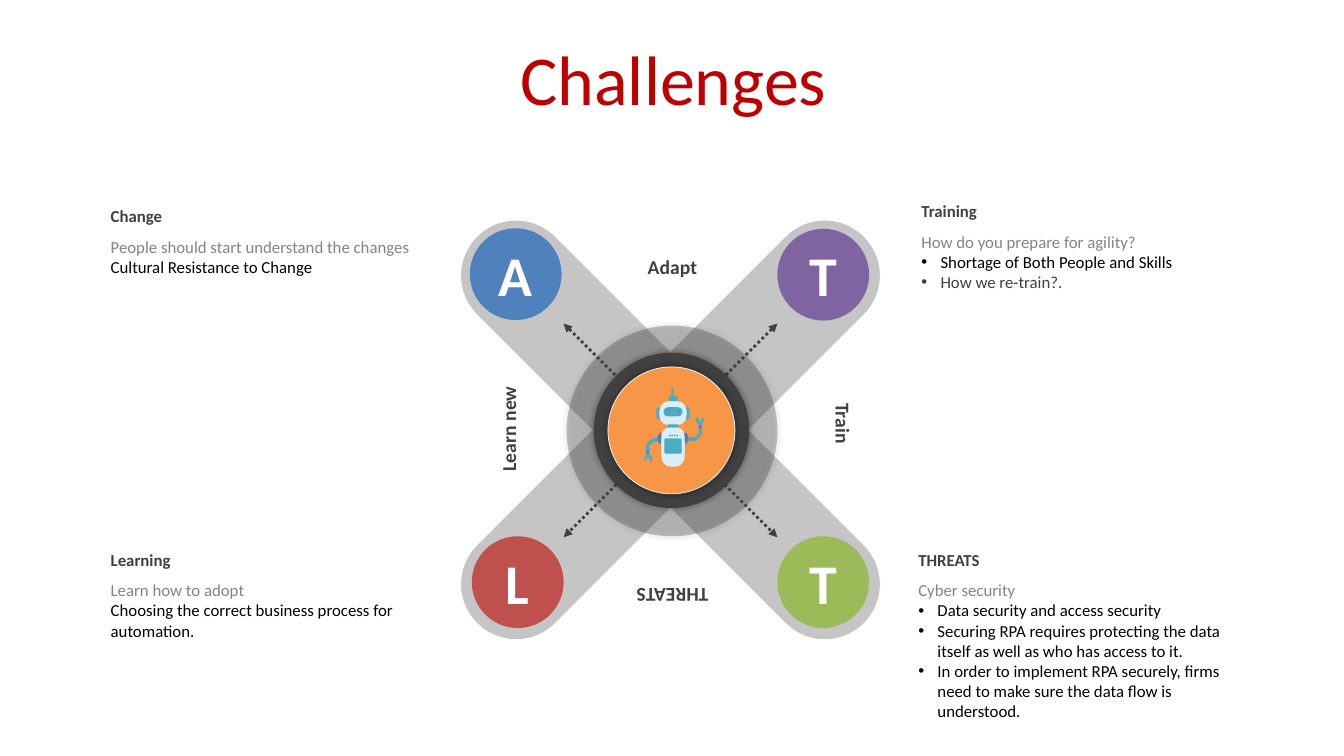
from pptx import Presentation
from pptx.dml.color import RGBColor as Rgb
from pptx.enum.dml import MSO_LINE as Dash
from pptx.enum.shapes import MSO_CONNECTOR as Link, MSO_SHAPE as Kind
from pptx.enum.text import MSO_ANCHOR as Anchor, PP_ALIGN as Align
from pptx.oxml.ns import qn
from pptx.util import Inches, Pt
from lxml.etree import SubElement as Sub

INK = {
    "title": "C00000", "dark": "404040", "grey": "848484", "black": "000000",
    "white": "FFFFFF", "blue": "4F81BD", "purple": "8064A2", "red": "C0504D",
    "green": "9BBB59", "orange": "F79646", "teal": "4BACC6", "pale": "DBEEF4",
    "dot": "3BC0CB",
}


class Board:
    font = "Calibri"
    cell = 0.1

    def __init__(self, deck):
        self.shapes = deck.slides.add_slide(deck.slide_layouts[6]).shapes

    def grid(self, *cells):
        return [Inches(n * self.cell) for n in cells]

    def paint(self, shape, ink, alpha=None, edge=False, glow=False):
        shape.shadow.inherit = False
        shape.fill.solid()
        shape.fill.fore_color.rgb = Rgb.from_string(INK[ink])
        props = shape._element.spPr
        if alpha:
            color = props.find(qn("a:solidFill"))[0]
            Sub(color, qn("a:alpha"), val=str(alpha * 1000))
        if edge:
            shape.line.color.rgb = Rgb.from_string(INK["white"])
            shape.line.width = Pt(0.5)
        else:
            shape.line.fill.background()
        if glow:
            blur = Sub(props.find(qn("a:effectLst")), qn("a:outerShdw"),
                       blurRad=str(Pt(5)), dist="0", dir="0", algn="ctr", rotWithShape="0")
            color = Sub(blur, qn("a:srgbClr"), val=INK["black"])
            Sub(color, qn("a:alpha"), val="40000")

    def shape(self, kind, box, ink, turn=0, bend=None, **look):
        item = self.shapes.add_shape(kind, *self.grid(*box))
        item.rotation = turn
        if bend is not None:
            item.adjustments[0] = bend
        self.paint(item, ink, **look)

    def disc(self, x, y, size, ink, **look):
        self.shape(Kind.OVAL, (x - size / 2, y - size / 2, size, size), ink, **look)

    def outline(self, points, ink):
        spots = [self.grid(*p) for p in points]
        pen = self.shapes.build_freeform(*spots[0])
        pen.add_line_segments(spots[1:], close=True)
        self.paint(pen.convert_to_shape(), ink)

    def arrow(self, start, end):
        item = self.shapes.add_connector(Link.STRAIGHT, *self.grid(*start, *end))
        item.line.color.rgb = Rgb.from_string(INK["dark"])
        item.line.width = Pt(2)
        item.line.dash_style = Dash.ROUND_DOT
        props = item._element.spPr
        for tip in ("a:headEnd", "a:tailEnd"):
            Sub(props.find(qn("a:ln")), qn(tip), type="triangle")
        Sub(props, qn("a:effectLst"))

    def text(self, box, lines, size, bold=False, align=Align.LEFT, turn=0, anchor=Anchor.TOP):
        item = self.shapes.add_textbox(*self.grid(*box))
        item.rotation = turn
        frame = item.text_frame
        frame.word_wrap = True
        frame.vertical_anchor = anchor
        for i, (words, ink, mark) in enumerate(lines):
            para = frame.add_paragraph() if i else frame.paragraphs[0]
            para.text = words
            para.alignment = align
            para.font.name = self.font
            para.font.size = Pt(size)
            para.font.bold = bold
            para.font.color.rgb = Rgb.from_string(INK[ink])
            if mark:
                props = para._p.get_or_add_pPr()
                props.set("marL", str(Inches(0.19)))
                props.set("indent", str(-Inches(0.19)))
                Sub(props, qn("a:buFont"), typeface="Arial")
                Sub(props, qn("a:buChar"), char="•")

    def label(self, box, words, ink, size, turn=0, anchor=Anchor.TOP, bold=True):
        self.text(box, [(words, ink, False)], size, bold, Align.CENTER, turn, anchor)

    def note(self, x, y, head, lines, tall):
        self.text((x, y, 33.3, 3), [(head, "dark", False)], 12, bold=True)
        self.text((x, y + 3.05, 33.6, tall), lines, 12)


def wheel(board):
    for words, turn, box in (
        ("Adapt", 0, (51.4, 24.8, 30.6, 27.5)),
        ("Train", 90, (56.1, 28.1, 30.6, 27.8)),
        ("Learn new", 270, (47.2, 28.8, 30.6, 27.5)),
        ("THREATS", 180, (51.4, 33.3, 30.6, 27.5)),
    ):
        board.label(box, words, "dark", 14, turn)
    for turn in (45, 315):
        board.shape(Kind.ROUNDED_RECTANGLE, (61, 15.5, 11, 54.3), "dark", turn, 0.5,
                    alpha=30, edge=True)
    board.disc(66.65, 42.75, 20.9, "dark", alpha=30, glow=True)
    board.arrow((55.9, 32.1), (77.1, 53.3))
    board.arrow((77.1, 32.1), (55.9, 53.3))
    board.disc(66.6, 42.7, 15.4, "dark", glow=True)
    board.disc(66.6, 42.7, 12.6, "orange", edge=True, glow=True)


def notes(board):
    board.note(10, 54, "Learning", [
        ("Learn how to adopt", "grey", False),
        ("Choosing the correct business process for automation.", "black", False),
    ], 7.1)
    board.note(10, 19.9, "Change", [
        ("People should start understand the changes", "grey", False),
        ("Cultural Resistance to Change", "black", False),
    ], 5)
    board.note(90.1, 54, "THREATS", [
        ("Cyber security", "grey", False),
        ("Data security and access security", "black", True),
        ("Securing RPA requires protecting the data itself as well as who has access to it.",
         "black", True),
        ("In order to implement RPA securely, firms need to make sure the data flow is "
         "understood.", "black", True),
    ], 17.2)
    board.note(90.4, 19.4, "Training", [
        ("How do you prepare for agility?", "grey", False),
        ("Shortage of Both People and Skills", "black", True),
        ("How we re-train?.", "dark", True),
    ], 7.1)


def badges(board):
    spots = (("A", "blue", 51.15, 27.2), ("T", "purple", 81.65, 27.25),
             ("L", "red", 51.35, 57.75), ("T", "green", 81.65, 57.75))
    for _, ink, x, y in spots:
        board.disc(x, y, 9.1, ink)
    for sign, _, x, y in spots:
        board.label((x - 4.5, y - 3.85, 9, 7.7), sign, "white", 40)


def robot(board):
    arm = ((65.3, 43.4), (64.7, 43.5), (64.3, 43.8), (64.1, 44.2), (64.1, 44.8), (64.4, 44.8),
           (64.4, 44.2), (64.7, 43.9), (65.3, 43.8), (65.4, 43.6))
    claw = ((64.7, 45.7), (64.7, 45.4), (64.5, 45.1), (64.2, 45), (64, 45.1), (63.9, 45.5),
            (63.9, 45.7), (64, 45.8), (64.1, 45.7), (64.1, 45.5), (64.2, 45.4), (64.3, 45.4),
            (64.4, 45.5), (64.4, 45.7), (64.5, 45.8))
    pill, dome = Kind.ROUNDED_RECTANGLE, Kind.ROUND_2_SAME_RECTANGLE
    for flip in (False, True):
        for part in (arm, claw):
            board.outline([(133.7 - x, 87.2 - y) if flip else (x, y) for x, y in part], "teal")
        board.shape(pill, (69.3 if flip else 64.1, 42.2 if flip else 44.7, 0.3, 0.3), "blue")
        board.shape(Kind.OVAL, (67.4 if flip else 65.2, 42.9, 0.9, 1.2), "blue")
    board.shape(dome, (65.6, 42.4, 2.3, 2.6), "pale", bend=0.35)
    board.shape(dome, (65.6, 43.7, 2.3, 2.6), "pale", 180, 0.4)
    for x in (67.8, 65.1):
        board.shape(pill, (x, 40.4, 0.6, 1.2), "teal", bend=0.5)
    board.shape(pill, (65.4, 39.8, 2.7, 2.4), "pale", bend=0.4)
    board.shape(pill, (66.3, 39.3, 0.9, 0.5), "teal", bend=0.4)
    board.shape(pill, (66.6, 38.5, 0.2, 1), "teal", bend=0.5)
    for i in range(4):
        board.disc(66.45 + i * 0.23, 43.2, 0.18, "dot")
    board.shape(pill, (65.8, 40.4, 1.9, 0.9), "teal", bend=0.5)
    for x in (66.3, 67.3):
        board.disc(x, 40.8, 0.2, "blue")
    board.shape(pill, (66.2, 42.1, 1.1, 0.3), "teal", bend=0.4)
    board.shape(pill, (65.9, 43.5, 1.7, 1.5), "teal", bend=0.08)


def main():
    deck = Presentation()
    deck.slide_width, deck.slide_height = Inches(13.33), Inches(7.5)
    board = Board(deck)
    board.label((3.5, 3.7, 126.6, 7.9), "Challenges", "title", 50,
                anchor=Anchor.MIDDLE, bold=False)
    wheel(board)
    notes(board)
    badges(board)
    robot(board)
    deck.save("out.pptx")


if __name__ == "__main__":
    main()
